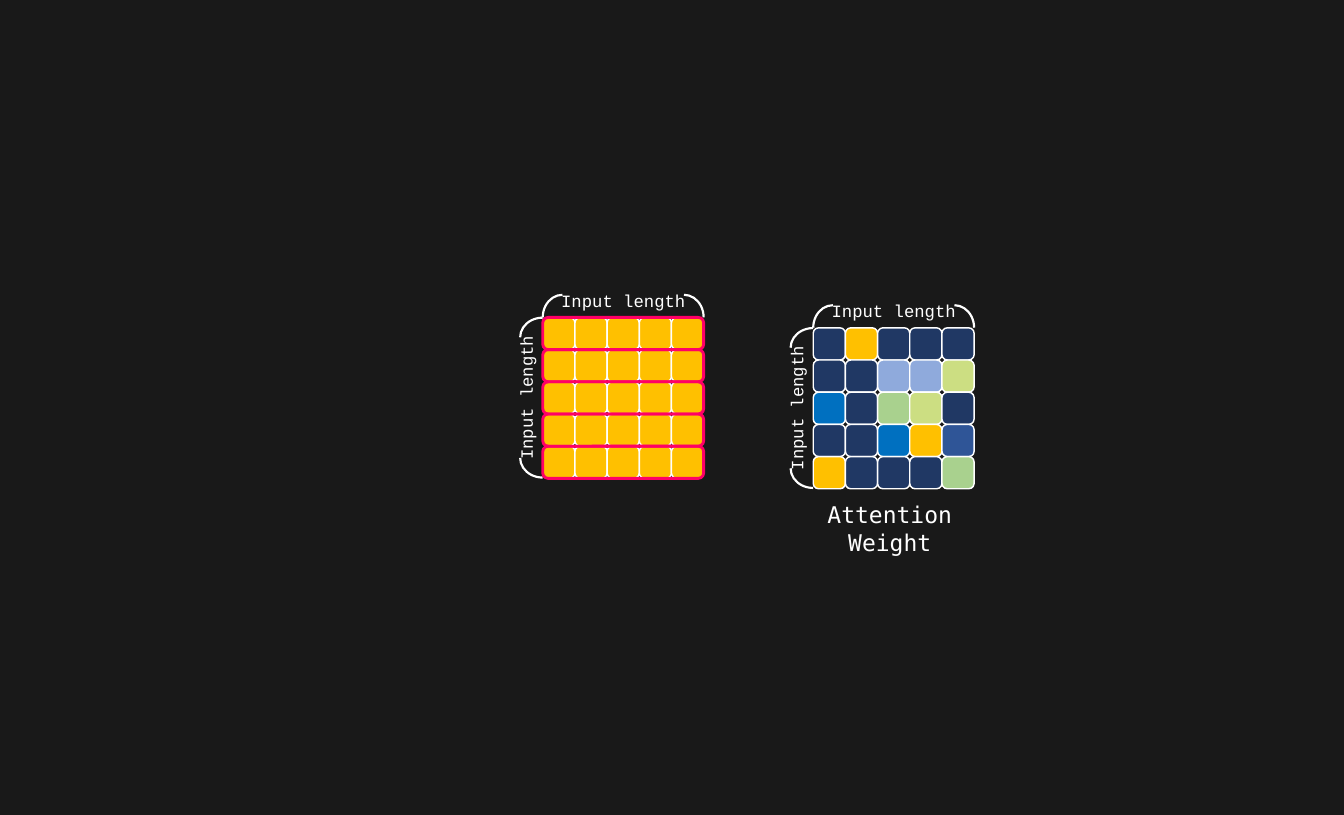
from pptx import Presentation
from pptx.dml.color import RGBColor
from pptx.enum.shapes import MSO_SHAPE
from pptx.enum.text import MSO_ANCHOR, PP_ALIGN
from pptx.util import Cm, Pt

ROUND_RECT = MSO_SHAPE.ROUNDED_RECTANGLE
ARC = MSO_SHAPE.ARC
MIDDLE = MSO_ANCHOR.MIDDLE
CENTER = PP_ALIGN.CENTER

BACKGROUND = RGBColor(0x19, 0x19, 0x19)
WHITE = RGBColor(0xFF, 0xFF, 0xFF)
PINK = RGBColor(0xFF, 0x00, 0x66)
AMBER = RGBColor(0xFF, 0xC0, 0x00)
NAVY = RGBColor(0x20, 0x38, 0x64)
ROYAL = RGBColor(0x2F, 0x55, 0x97)
BLUE = RGBColor(0x00, 0x70, 0xC0)
PALE_BLUE = RGBColor(0x8F, 0xAA, 0xDC)
GREEN = RGBColor(0xA9, 0xD1, 0x8E)
LIME = RGBColor(0xCC, 0xDE, 0x82)

CELL = 1.58
SIZE = 5
SCORES_AT = (26.65, 15.58)
WEIGHTS_AT = (39.93, 16.09)

SCORES = [[AMBER] * SIZE] * SIZE
WEIGHTS = [
    [NAVY, AMBER, NAVY, NAVY, NAVY],
    [NAVY, NAVY, PALE_BLUE, PALE_BLUE, LIME],
    [BLUE, NAVY, GREEN, LIME, NAVY],
    [NAVY, NAVY, BLUE, AMBER, ROYAL],
    [AMBER, NAVY, NAVY, NAVY, GREEN],
]


class Canvas:
    """Draws on one slide; lengths are in centimetres."""

    def __init__(self, s):
        self.s = s
        s.background.fill.solid()
        s.background.fill.fore_color.rgb = BACKGROUND

    def shape(self, parent, kind, x, y, w, h, fill=None, line=None, weight=2, rotation=0):
        sp = parent.shapes.add_shape(kind, Cm(x), Cm(y), Cm(w), Cm(h))
        sp.shadow.inherit = False
        sp.rotation = rotation
        if fill is None:
            sp.fill.background()
        else:
            sp.fill.solid()
            sp.fill.fore_color.rgb = fill
        if line is None:
            sp.line.fill.background()
        else:
            sp.line.color.rgb = line
            sp.line.width = Pt(weight)
        return sp

    def label(self, parent, x, y, w, h, lines, font, size, rotation=0):
        tf = self.shape(parent, ROUND_RECT, x, y, w, h, rotation=rotation).text_frame
        tf.word_wrap = True
        tf.vertical_anchor = MIDDLE
        tf.margin_left = tf.margin_right = tf.margin_top = tf.margin_bottom = 0
        for i, text in enumerate(lines):
            p = tf.add_paragraph() if i else tf.paragraphs[0]
            p.alignment = CENTER
            r = p.add_run()
            r.text = text
            r.font.name = font
            r.font.size = Pt(size)
            r.font.color.rgb = WHITE

    def arc(self, parent, x, y, flip, rotation):
        sp = self.shape(parent, ARC, x, y, 1.93, 2.21, line=WHITE, weight=3, rotation=rotation)
        if flip:
            sp.element.spPr.get_or_add_xfrm().set("flipH", "1")

    def matrix(self, x, y, colors):
        """Draw a grid of cells with a bracketed label on its top and left sides."""
        group = self.s.shapes.add_group_shape()
        for row, row_colors in enumerate(colors):
            for col, color in enumerate(row_colors):
                self.shape(group, ROUND_RECT, x + col * CELL, y + row * CELL,
                           CELL, CELL, fill=color, line=WHITE)
        for dx, dy, rotation in ((0.43, -1.64, 0), (-4.34, 3.15, 270)):
            self.label(group, x + dx, y + dy, 7.04, CELL, ["Input length"],
                       "Courier New", 24, rotation)
        for dx, dy, flip, rotation in ((0, -1.11, True, 0), (5.97, -1.11, False, 0),
                                       (-0.97, 5.79, True, 270), (-0.97, -0.13, False, 270)):
            self.arc(group, x + dx, y + dy, flip, rotation)

    def row_frames(self, x, y):
        for row in range(SIZE):
            self.shape(self.s, ROUND_RECT, x, y + row * CELL, SIZE * CELL, CELL,
                       line=PINK, weight=4)


def main():
    prs = Presentation()
    prs.slide_width, prs.slide_height = Cm(65.99), Cm(40)
    canvas = Canvas(prs.slides.add_slide(prs.slide_layouts[6]))
    canvas.matrix(*SCORES_AT, SCORES)
    canvas.matrix(*WEIGHTS_AT, WEIGHTS)
    canvas.label(canvas.s, 39.98, 24.92, 7.42, 2.01, ["Attention", "Weight"],
                 "DejaVu Sans Mono", 32)
    canvas.row_frames(*SCORES_AT)
    prs.save("out.pptx")


if __name__ == "__main__":
    main()
